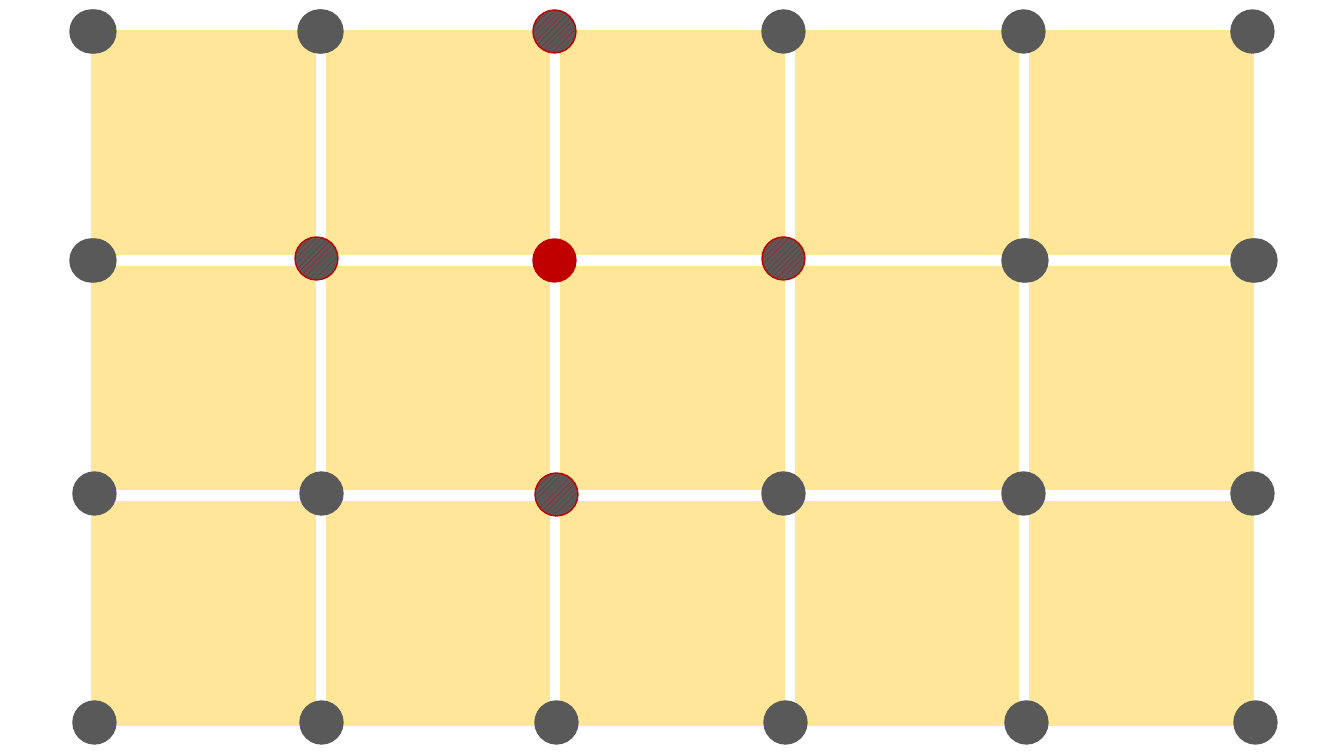
import pptx
import pptx.util
import pptx.dml.color
import pptx.enum.dml
import pptx.enum.shapes

EMU_PER_PX = 914400 / 100.8
COLORS = {"tile": "FFE699", "node": "595959", "center": "C00000"}
SHAPES = pptx.enum.shapes.MSO_SHAPE

TILE, DOT = 223, 43
# Each row of plain nodes: top, then the left edges
NODE_ROWS = [
    (10, [70, 298, 762, 1002, 1231, 73, 300]),
    (239, [70, 1002, 1231, 73, 1005, 1234]),
    (472, [762, 1002, 1231, 73, 300]),
    (701, [73, 300, 535, 764, 1005, 1234]),
]
CENTER = (533, 239)
NEIGHBORS = [(533, 10), (295, 237), (535, 473), (762, 237)]


def px(n):
    """Turn pixels into EMU."""
    return pptx.util.Emu(round(n * EMU_PER_PX))


def rgb(name):
    """Look up a named colour."""
    return pptx.dml.color.RGBColor.from_string(COLORS[name])


class Canvas:
    """Holds the style and the current slide."""

    def __init__(self, slide):
        """Keep the slide and the outline width."""
        self.slide = slide
        self.line_width = pptx.util.Pt(1)

    def shape(self, kind, x, y, size, color):
        """Add an equal-sided shape with fill and line of one colour."""
        sp = self.slide.shapes.add_shape(kind, px(x), px(y), px(size), px(size))
        sp.shadow.inherit = False
        sp.fill.solid()
        sp.fill.fore_color.rgb = rgb(color)
        sp.line.color.rgb = rgb(color)
        sp.line.width = self.line_width
        return sp

    def tile(self, x, y):
        """Add a grid square."""
        return self.shape(SHAPES.RECTANGLE, x, y, TILE, "tile")

    def node(self, x, y, color="node"):
        """Add a plain grid node."""
        return self.shape(SHAPES.OVAL, x, y, DOT, color)

    def neighbor(self, x, y):
        """Add a hatched node next to the center."""
        sp = self.node(x, y, "center")
        sp.fill.patterned()
        sp.fill.pattern = pptx.enum.dml.MSO_PATTERN.WIDE_UPWARD_DIAGONAL
        sp.fill.fore_color.rgb = rgb("center")
        sp.fill.back_color.rgb = rgb("node")
        return sp


def main():
    """Build the grid of tiles and nodes."""
    prs = pptx.Presentation()
    prs.slide_width, prs.slide_height = px(1344), px(756)
    canvas = Canvas(prs.slides.add_slide(prs.slide_layouts[6]))

    for row in range(3):
        for col in range(5):
            canvas.tile(92 + 234.5 * col, 31 + 235.5 * row)
    for top, lefts in NODE_ROWS:
        for left in lefts:
            canvas.node(left, top)
    canvas.node(*CENTER, "center")
    for x, y in NEIGHBORS:
        canvas.neighbor(x, y)

    prs.save("out.pptx")


main()
